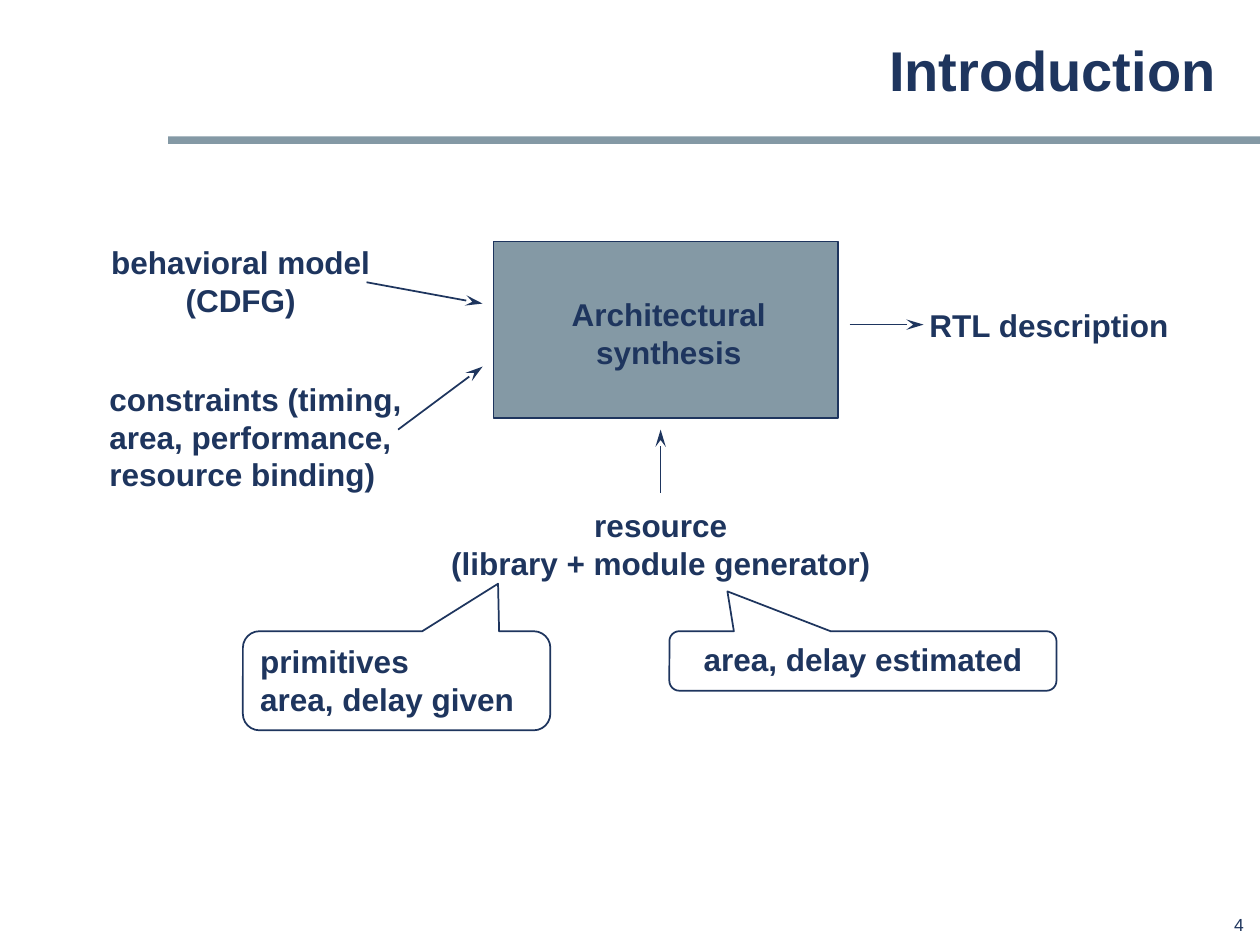
from lxml import etree
from pptx import Presentation
from pptx.dml.color import RGBColor
from pptx.enum.shapes import MSO_CONNECTOR, MSO_SHAPE
from pptx.enum.text import MSO_ANCHOR, PP_ALIGN
from pptx.oxml.ns import qn
from pptx.util import Pt

RECTANGLE = MSO_SHAPE.RECTANGLE
CALLOUT = MSO_SHAPE.ROUNDED_RECTANGULAR_CALLOUT
STRAIGHT = MSO_CONNECTOR.STRAIGHT
LEFT, CENTER, RIGHT = PP_ALIGN.LEFT, PP_ALIGN.CENTER, PP_ALIGN.RIGHT
TOP, MIDDLE = MSO_ANCHOR.TOP, MSO_ANCHOR.MIDDLE

COLORS = {"navy": "1E355E", "slate": "8499A5"}


class DiagramSlide:
    """Holds the style and the current slide; all lengths are in points."""

    font_name = "Arial"
    line_width = 1

    def __init__(self, slide):
        self.slide = slide
        self.ink = RGBColor.from_string(COLORS["navy"])

    def set_text(self, frame, lines, align=CENTER, size=18, bold=True,
                 anchor=TOP, wrap=True, spacing=None):
        frame.word_wrap = wrap
        frame.vertical_anchor = anchor
        frame.text = "\n".join(lines)
        for paragraph in frame.paragraphs:
            paragraph.alignment = align
            if spacing:
                paragraph.line_spacing = spacing
            font = paragraph.font
            font.name, font.size, font.bold = self.font_name, Pt(size), bold
            font.color.rgb = self.ink

    def label(self, box, lines, **style):
        textbox = self.slide.shapes.add_textbox(*map(Pt, box))
        self.set_text(textbox.text_frame, lines, **style)

    def outline(self, line):
        line.color.rgb = self.ink
        line.width = Pt(self.line_width)

    def block(self, box, outlined=True):
        block = self.slide.shapes.add_shape(RECTANGLE, *map(Pt, box))
        block.shadow.inherit = False
        block.fill.solid()
        block.fill.fore_color.rgb = RGBColor.from_string(COLORS["slate"])
        if outlined:
            self.outline(block.line)
        else:
            block.line.fill.background()

    def callout(self, box, tip, lines, align):
        callout = self.slide.shapes.add_shape(CALLOUT, *map(Pt, box))
        callout.shadow.inherit = False
        callout.fill.background()
        self.outline(callout.line)
        callout.adjustments[0], callout.adjustments[1] = tip
        self.set_text(callout.text_frame, lines, align)

    def arrow(self, start, end):
        arrow = self.slide.shapes.add_connector(STRAIGHT, *map(Pt, start + end))
        self.outline(arrow.line)
        properties = arrow._element.spPr
        etree.SubElement(properties.find(qn("a:ln")), qn("a:tailEnd"),
                         type="stealth", w="med", len="lg")
        etree.SubElement(properties, qn("a:effectLst"))


def main():
    deck = Presentation()
    deck.slide_width, deck.slide_height = Pt(720), Pt(540)
    page = DiagramSlide(deck.slides.add_slide(deck.slide_layouts[6]))

    # Header rule, page number and title
    page.block((96, 77.9, 624, 4.4), outlined=False)
    page.label((671, 519, 46.8, 18.7), ["4"], align=RIGHT, size=10, bold=False)
    page.label((96, 12, 606, 60), ["Introduction"], align=RIGHT, size=32,
               anchor=MIDDLE, spacing=0.88)

    # Synthesis step with its inputs and output
    page.block((282, 138, 197, 101))
    labels = [
        ((319.5, 164.9, 125.3, 50.4), ["Architectural", "synthesis"], CENTER),
        ((56.2, 135.4, 162.7, 50.4), ["behavioral model", "(CDFG)"], CENTER),
        ((55.4, 213.5, 181.4, 72),
         ["constraints (timing,", "area, performance,", "resource binding)"], LEFT),
        ((250.5, 285.6, 254.2, 50.4),
         ["resource", "(library + module generator)"], CENTER),
        ((523.5, 171.6, 152, 28.8), ["RTL description"], CENTER),
    ]
    for box, lines, align in labels:
        page.label(box, lines, align=align, wrap=False)

    # Data flow
    flows = [
        ((209.5, 161.3), (275.8, 173.5)),
        ((227.5, 245.5), (275.8, 209.5)),
        ((485.5, 185.5), (527.8, 185.5)),
        ((377.5, 281.5), (377.5, 245.5)),
    ]
    for start, end in flows:
        page.arrow(start, end)

    # Notes on the two kinds of resource
    page.callout((138.8, 360.7, 175.7, 56.6), (0.33, -0.98),
                 ["primitives", "area, delay given"], LEFT)
    page.callout((382.5, 360.7, 221.2, 34), (-0.35, -1.17),
                 ["area, delay estimated"], CENTER)

    deck.save("out.pptx")


if __name__ == "__main__":
    main()
